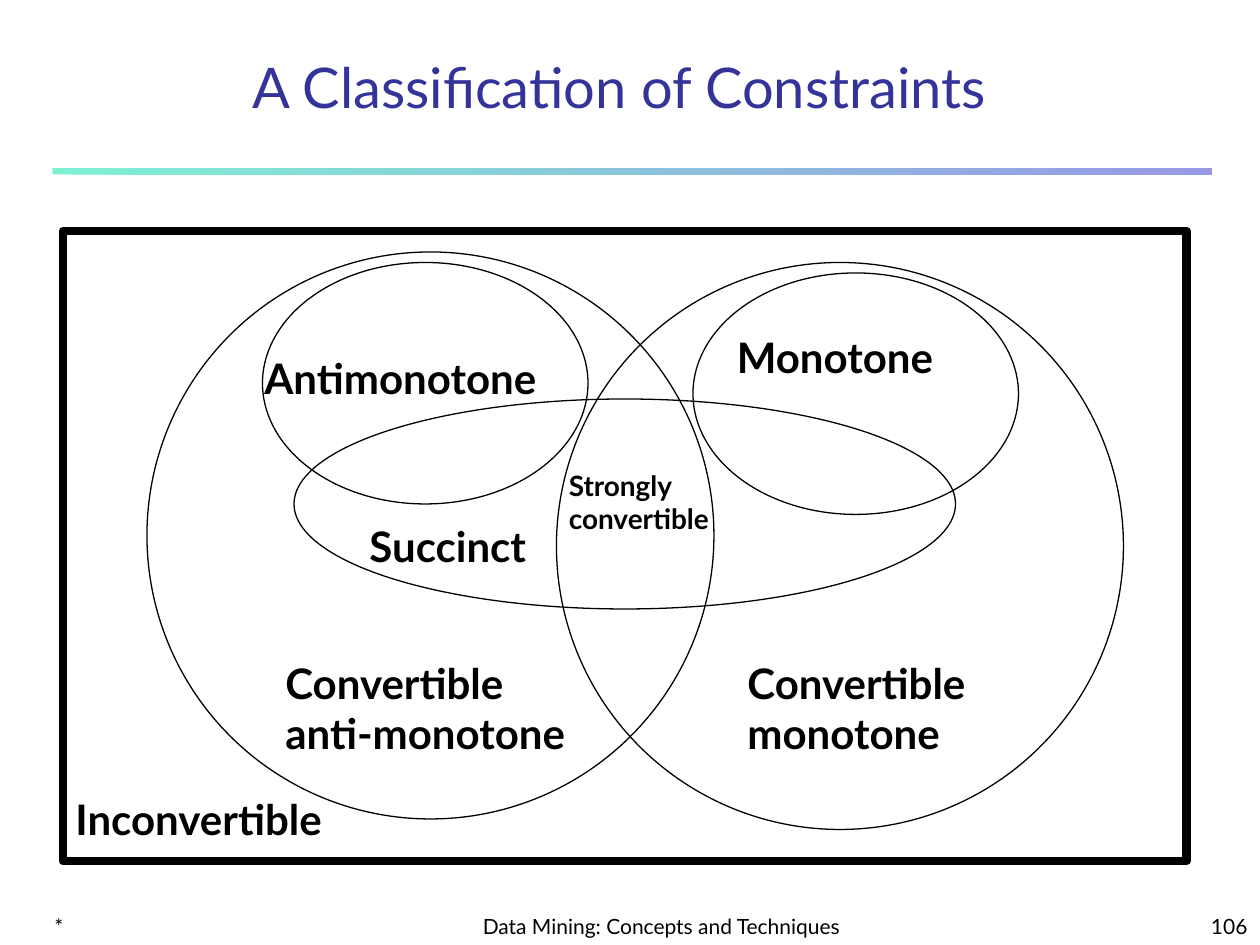
from collections import namedtuple
from dataclasses import dataclass

from lxml.etree import SubElement
from pptx import Presentation
from pptx.dml.color import RGBColor
from pptx.enum.shapes import MSO_SHAPE
from pptx.enum.text import MSO_ANCHOR, MSO_AUTO_SIZE, PP_ALIGN
from pptx.oxml.ns import qn
from pptx.util import Inches, Pt

COLUMNS, ROWS = 120, 90
CELL = Inches(10) / COLUMNS

Box = namedtuple("Box", "left top width height")


@dataclass(frozen=True)
class Theme:
    font: str = "Lato"
    ink: RGBColor = RGBColor(0x00, 0x00, 0x00)
    heading: RGBColor = RGBColor(0x33, 0x33, 0x99)
    rule_start: RGBColor = RGBColor(0x00, 0xE4, 0xA8)
    rule_end: RGBColor = RGBColor(0x33, 0x33, 0xCC)
    rule_alpha: int = 50
    title_size: int = 32
    label_size: int = 24
    overlap_size: int = 16
    footer_size: int = 12
    frame_line: float = 5
    set_line: float = 0.75


THEME = Theme()


def within(region, left, top, width, height):
    """Turn cells counted from a region's corner into cells of the slide."""
    return Box(region.left + left, region.top + top, width, height)


def to_emu(box):
    return [round(cells * CELL) for cells in box]


def add_text(slide, box, lines, size, color=THEME.ink, bold=False,
             align=PP_ALIGN.LEFT, anchor=MSO_ANCHOR.TOP):
    frame = slide.shapes.add_textbox(*to_emu(box)).text_frame
    frame_format = {"word_wrap": True, "auto_size": MSO_AUTO_SIZE.NONE,
                    "vertical_anchor": anchor, "text": "\n".join(lines)}
    for name, value in frame_format.items():
        setattr(frame, name, value)
    font_format = {"name": THEME.font, "size": Pt(size), "bold": bold}
    for paragraph in frame.paragraphs:
        paragraph.alignment = align
        font = paragraph.runs[0].font
        for name, value in font_format.items():
            setattr(font, name, value)
        font.color.rgb = color


def add_outline(slide, kind, box, weight):
    outline = slide.shapes.add_shape(kind, *to_emu(box))
    outline.shadow.inherit = False
    outline.fill.background()
    outline.line.color.rgb = THEME.ink
    outline.line.width = Pt(weight)


def add_gradient_rule(slide, box):
    rule = slide.shapes.add_shape(MSO_SHAPE.RECTANGLE, *to_emu(box))
    rule.shadow.inherit = False
    rule.line.fill.background()
    rule.fill.gradient()
    rule.fill.gradient_angle = 0
    for stop, color in zip(rule.fill.gradient_stops,
                           (THEME.rule_start, THEME.rule_end)):
        stop.color.rgb = color
    for color in rule.fill._xPr.iter(qn("a:srgbClr")):
        SubElement(color, qn("a:alpha"), val=str(THEME.rule_alpha * 1000))


def add_header(slide, region):
    add_gradient_rule(slide, within(region, 0, 12, region.width, 0.6))
    add_text(slide, within(region, 3, 0, 102, 8),
             ["A Classification of Constraints"], THEME.title_size,
             THEME.heading, align=PP_ALIGN.CENTER, anchor=MSO_ANCHOR.BOTTOM)


def add_footer(slide, region):
    parts = (
        ("*", 0, 25, PP_ALIGN.LEFT),
        ("Data Mining: Concepts and Techniques", 40, 38, PP_ALIGN.CENTER),
        ("106", 91, 25, PP_ALIGN.RIGHT),
    )
    for text, left, width, align in parts:
        add_text(slide, within(region, left, 0, width, region.height), [text],
                 THEME.footer_size, align=align, anchor=MSO_ANCHOR.BOTTOM)


def add_constraint_diagram(slide, region):
    add_outline(slide, MSO_SHAPE.RECTANGLE, region, THEME.frame_line)

    convertible, monotone, succinct = (54, 54), (31, 23), (63, 20)
    sets = (
        (8, 2, convertible),
        (47, 3, convertible),
        (22, 16, succinct),
        (60, 4, monotone),
        (19, 3, monotone),
    )
    for left, top, size in sets:
        add_outline(slide, MSO_SHAPE.OVAL, within(region, left, top, *size),
                    THEME.set_line)

    one_line, two_lines = 6, 10.8
    labels = (
        (["Convertible", "anti-monotone"], 20, 40, 32.4, two_lines),
        (["Convertible", "monotone"], 64, 40, 25.6, two_lines),
        (["Inconvertible"], 0, 53, 29.4, one_line),
        (["Succinct"], 28, 27, 19.3, one_line),
        (["Antimonotone"], 18, 11, 31, one_line),
        (["Monotone"], 63, 9, 22.6, one_line),
    )
    for lines, *cells in labels:
        add_text(slide, within(region, *cells), lines, THEME.label_size,
                 bold=True)
    add_text(slide, within(region, 47, 22, 20, 7.7),
             ["Strongly", "convertible"], THEME.overlap_size, bold=True)


def main():
    deck = Presentation()
    deck.slide_width = round(COLUMNS * CELL)
    deck.slide_height = round(ROWS * CELL)
    slide = deck.slides.add_slide(deck.slide_layouts[6])
    add_header(slide, Box(5, 4, 110.4, 12.6))
    add_constraint_diagram(slide, Box(6, 22, 107, 60))
    add_footer(slide, Box(4, 85, 116, 5))
    deck.save("out.pptx")


if __name__ == "__main__":
    main()
